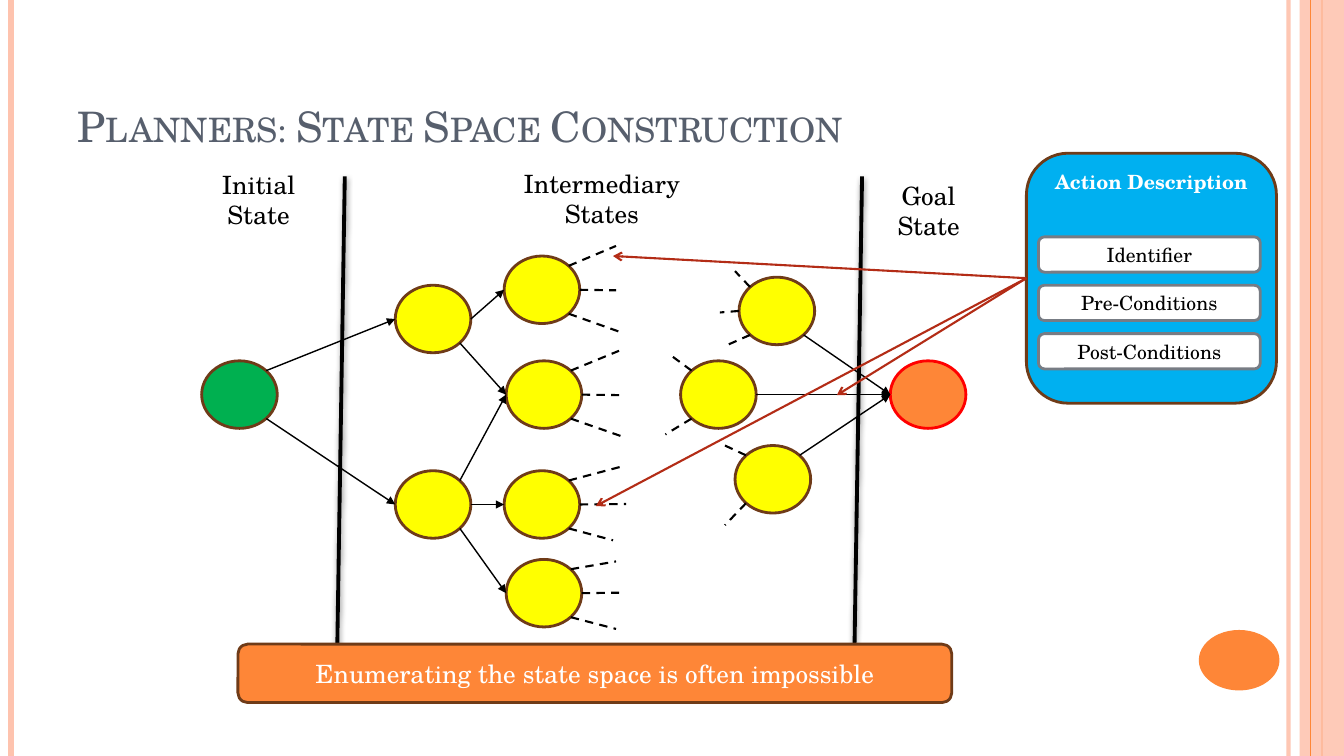
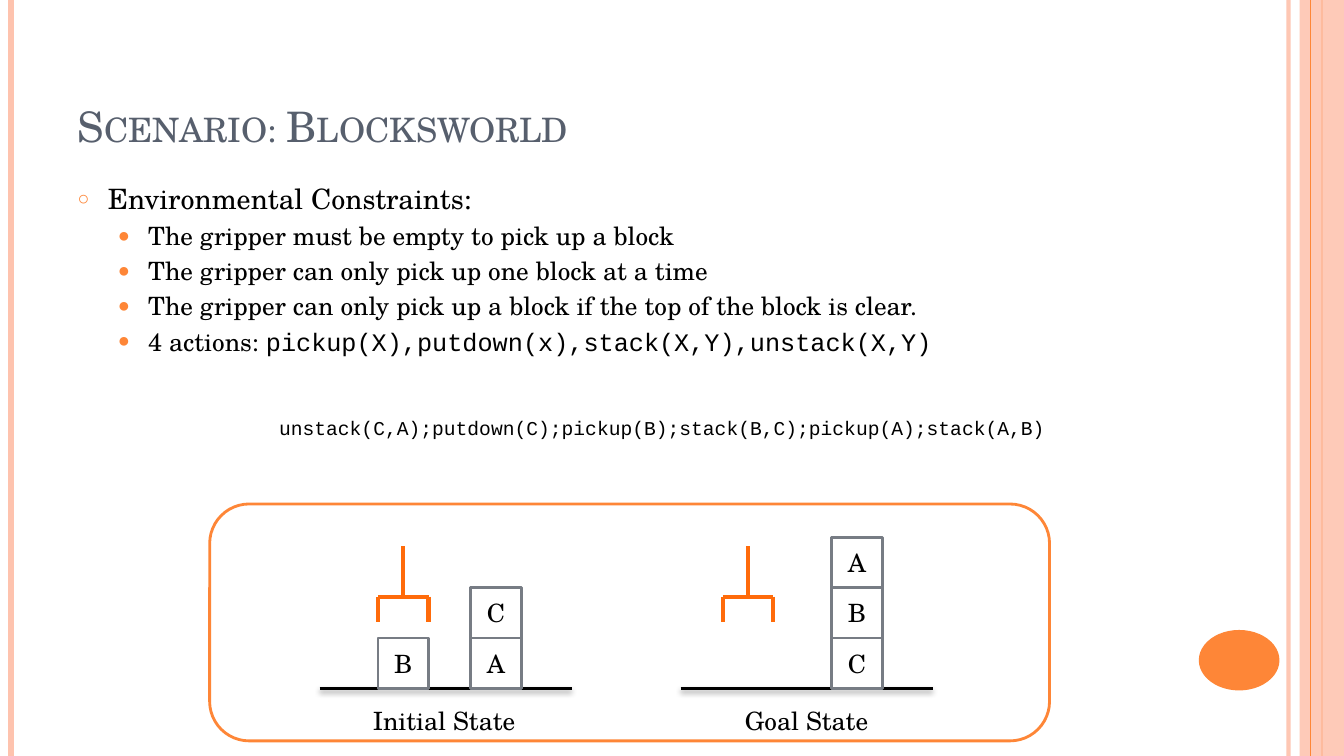
from pptx import Presentation
from pptx.dml.color import RGBColor
from pptx.enum import dml, shapes as kinds, text as layout
from pptx.oxml import ns, xmlchemy
from pptx.util import Inches, Pt

FONT = "TeX Gyre Schola"
CODE_FONT = "Courier New"
BLACK = RGBColor(0x00, 0x00, 0x00)
WHITE = RGBColor(0xFF, 0xFF, 0xFF)
SLATE = RGBColor(0x57, 0x5F, 0x6D)
GRAY = RGBColor(0x77, 0x7C, 0x84)
ORANGE = RGBColor(0xFE, 0x86, 0x37)
GRIPPER_ORANGE = RGBColor(0xFF, 0x6B, 0x0A)
PEACH = RGBColor(0xFE, 0xC3, 0xAE)
BROWN = RGBColor(0x6F, 0x3B, 0x18)
YELLOW = RGBColor(0xFF, 0xFF, 0x00)
GREEN = RGBColor(0x00, 0xB0, 0x50)
RED = RGBColor(0xFF, 0x00, 0x00)
DARK_RED = RGBColor(0xB3, 0x2C, 0x16)
BLUE = RGBColor(0x00, 0xB0, 0xF0)

SHAPE = kinds.MSO_SHAPE
CENTER = layout.PP_ALIGN.CENTER
LEFT = layout.PP_ALIGN.LEFT
MIDDLE = layout.MSO_ANCHOR.MIDDLE
TOP = layout.MSO_ANCHOR.TOP

NODE_WIDTH, NODE_HEIGHT = 0.75, 0.67
DIAGONAL = 0.71
# Points on a node's outline, as fractions of its half width and half height
SITES = {"left": (-1, 0), "right": (1, 0),
         "top left": (-DIAGONAL, -DIAGONAL), "top right": (DIAGONAL, -DIAGONAL),
         "bottom left": (-DIAGONAL, DIAGONAL), "bottom right": (DIAGONAL, DIAGONAL)}
BLOCK = 0.5
GROUND = 6.83


# Helpers for XML
def add_child(parent, tag, **attributes):
    child = xmlchemy.OxmlElement(tag)
    for name, value in attributes.items():
        child.set(name, str(value))
    parent.append(child)
    return child


def set_opacity(shape, percent):
    for color in shape.element.spPr.iter(ns.qn("a:srgbClr")):
        add_child(color, "a:alpha", val=percent * 1000)


# Kinds of element
def add_run(paragraph, words, size, color=BLACK, font=FONT, bold=False):
    run = paragraph.add_run()
    run.text = words
    run.font.size, run.font.name, run.font.bold = Pt(size), font, bold
    run.font.color.rgb = color
    return run


def add_lines(frame, words, size, align=CENTER, **style):
    for index, line in enumerate(words.split("\n")):
        paragraph = frame.add_paragraph() if index else frame.paragraphs[0]
        paragraph.alignment = align
        add_run(paragraph, line, size, **style)


def add_box(slide, kind, bounds, fill, line=None, words="", size=18, anchor=MIDDLE, **style):
    shape = slide.shapes.add_shape(kind, *map(Inches, bounds))
    shape.shadow.inherit = False
    shape.fill.solid()
    shape.fill.fore_color.rgb = fill
    if line is None:
        shape.line.fill.background()
    else:
        shape.line.color.rgb = line
        shape.line.width = Pt(2)
    if words:
        shape.text_frame.vertical_anchor = anchor
        add_lines(shape.text_frame, words, size, **style)
    return shape


def add_label(slide, bounds, words, size=18, **style):
    frame = slide.shapes.add_textbox(*map(Inches, bounds)).text_frame
    frame.word_wrap = False
    frame.auto_size = layout.MSO_AUTO_SIZE.SHAPE_TO_FIT_TEXT
    add_lines(frame, words, size, **style)


def add_line(owner, start, end, color=BLACK, width=1.5, dashed=False, head=None, shadow=None):
    """Draw a line; head is an arrowhead type, shadow is (opacity %, distance in points)."""
    line = owner.shapes.add_connector(
        kinds.MSO_CONNECTOR.STRAIGHT, *map(Inches, (*start, *end)))
    line.line.color.rgb = color
    line.line.width = Pt(width)
    if dashed:
        line.line.dash_style = dml.MSO_LINE.DASH
    properties = line.element.spPr
    if head:
        add_child(properties.find(ns.qn("a:ln")), "a:tailEnd", type=head)
    effects = add_child(properties, "a:effectLst")
    if shadow:
        opacity, distance = shadow
        outer = add_child(effects, "a:outerShdw", blurRad=Pt(4), dist=Pt(distance),
                          dir=90 * 60000, algn="ctr", rotWithShape=0)
        add_child(add_child(outer, "a:srgbClr", val=BLACK), "a:alpha", val=opacity * 1000)
    return line


def place(placeholder, left, top, width, height):
    placeholder.left, placeholder.top = Inches(left), Inches(top)
    placeholder.width, placeholder.height = Inches(width), Inches(height)
    placeholder.text_frame.auto_size = layout.MSO_AUTO_SIZE.NONE


# Shared parts
def add_slide(presentation, layout_index, title):
    slide = presentation.slides.add_slide(presentation.slide_layouts[layout_index])
    place(slide.shapes.title, 0.67, 0.3, 10.89, 1.25)
    frame = slide.shapes.title.text_frame
    frame.vertical_anchor = layout.MSO_ANCHOR.BOTTOM
    paragraph = frame.paragraphs[0]
    paragraph.alignment = LEFT
    run = add_run(paragraph, title, 30, SLATE)
    run.font._element.set("cap", "small")
    return slide


def decorate_master(presentation, slide):
    """Build the side bands on a slide, then move them to the master."""
    def band(x, color, width):
        return add_line(slide, (x, 0), (x, 7.5), color, width)

    inner = band(12.78, PEACH, 3)
    set_opacity(inner, 93)
    parts = [inner, band(0.11, PEACH, 4.5), band(13.11, ORANGE, 1.5)]
    strip = add_box(slide, SHAPE.RECTANGLE, (12.89, 0, 0.44, 7.5), PEACH)
    set_opacity(strip, 87)
    parts += [strip, band(13, ORANGE, 0.75),
              add_box(slide, SHAPE.OVAL, (11.89, 6.25, 0.8, 0.6), ORANGE)]
    tree = presentation.slide_master.element.cSld.spTree
    for number, part in enumerate(parts, 100):
        part.element.xpath(".//p:cNvPr")[0].set("id", str(number))
        tree.append(part.element)


# Slide 1: state space graph
NODES = {  # name: (left, top)
    "start": (2, 3.58), "goal": (8.83, 3.58),
    "upper": (3.92, 2.83), "lower": (3.92, 4.67),
    "first": (5, 2.54), "second": (5.02, 3.58), "third": (5, 4.67), "fourth": (5.02, 5.55),
    "near top": (7.33, 2.75), "near middle": (6.75, 3.58), "near bottom": (7.29, 4.42),
}
NODE_COLORS = {"start": (GREEN, BROWN), "goal": (ORANGE, RED)}
ACTIONS = [  # from node, site, to node (entered from the left)
    ("start", "top right", "upper"), ("start", "bottom right", "lower"),
    ("upper", "right", "first"), ("upper", "bottom right", "second"),
    ("lower", "top right", "second"), ("lower", "right", "third"),
    ("lower", "bottom right", "fourth"),
    ("near top", "bottom right", "goal"), ("near middle", "right", "goal"),
    ("near bottom", "top right", "goal"),
]
OPEN_ENDS = {  # node: {site: far end of the dashed line}
    "first": {"top right": (6.11, 2.44), "right": (6.11, 2.88), "bottom right": (6.14, 3.29)},
    "second": {"top right": (6.14, 3.48), "right": (6.14, 3.92), "bottom right": (6.17, 4.33)},
    "third": {"top right": (6.16, 4.63), "right": (6.21, 5), "bottom right": (6.08, 5.36)},
    "fourth": {"top right": (6.11, 5.57), "right": (6.14, 5.88), "bottom right": (6.11, 6.24)},
    "near top": {"top left": (7.29, 2.69), "left": (7.14, 3.1), "bottom left": (7.22, 3.42)},
    "near middle": {"top left": (6.66, 3.53), "bottom left": (6.6, 4.31)},
    "near bottom": {"top left": (7.19, 4.42), "bottom left": (7.19, 5.21)},
}


def site_point(node, site):
    left, top = NODES[node]
    across, down = SITES[site]
    return left + NODE_WIDTH / 2 * (1 + across), top + NODE_HEIGHT / 2 * (1 + down)


def add_graph(slide):
    for node, corner in NODES.items():
        fill, line = NODE_COLORS.get(node, (YELLOW, BROWN))
        add_box(slide, SHAPE.OVAL, (*corner, NODE_WIDTH, NODE_HEIGHT), fill, line)
    for node, site, target in ACTIONS:
        add_line(slide, site_point(node, site), site_point(target, "left"),
                 width=1, head="triangle")
    for node, ends in OPEN_ENDS.items():
        for site, end in ends.items():
            add_line(slide, site_point(node, site), end, dashed=True)


def add_action_panel(slide):
    add_box(slide, SHAPE.ROUNDED_RECTANGLE, (10.18, 1.52, 2.48, 2.48), BLUE, BROWN,
            "Action Description", 14, TOP, color=WHITE, bold=True)
    for index, part in enumerate(("Identifier", "Pre-Conditions", "Post-Conditions")):
        add_box(slide, SHAPE.ROUNDED_RECTANGLE, (10.3, 2.35 + 0.48 * index, 2.2, 0.35),
                WHITE, GRAY, part, 14)
    for end in ((8.3, 3.92), (6.08, 2.54), (5.91, 5.02)):
        add_line(slide, (10.18, 2.76), end, DARK_RED, head="arrow")


def fill_state_space(slide):
    add_label(slide, (2.1, 1.63, 0.93, 0.71), "Initial\nState")
    add_label(slide, (8.8, 1.74, 0.82, 0.71), "Goal\nState")
    add_label(slide, (5.09, 1.62, 1.76, 0.71), "Intermediary\nStates")
    for x in (3.42, 8.55):
        add_line(slide, (x, 1.75), (x - 0.08, 6.75), width=2.75, shadow=(42, 1.6))
    add_graph(slide)
    add_action_panel(slide)
    add_box(slide, SHAPE.ROUNDED_RECTANGLE, (2.36, 6.39, 7.08, 0.58), ORANGE, BROWN,
            "Enumerating the state space is often impossible", color=WHITE)


# Slide 2: blocks scenario
def add_bullet(paragraph, level, character, margin, percent):
    paragraph.level = level
    properties = paragraph._p.get_or_add_pPr()
    properties.set("marL", str(Inches(margin)))
    properties.set("indent", str(Inches(-0.3)))
    add_child(add_child(properties, "a:buClr"), "a:srgbClr", val=ORANGE)
    add_child(properties, "a:buSzPct", val=percent * 1000)
    add_child(properties, "a:buChar", char=character)


def add_constraints(slide):
    body = slide.placeholders[1]
    place(body, 0.67, 1.75, 10.89, 5.33)
    heading = body.text_frame.paragraphs[0]
    heading.space_before = Pt(6)
    add_bullet(heading, 0, "○", 0.3, 70)
    add_run(heading, "Environmental Constraints:", 20)
    for words in ("The gripper must be empty to pick up a block",
                  "The gripper can only pick up one block at a time",
                  "The gripper can only pick up a block if the top of the block is clear.",
                  "4 actions: "):
        paragraph = body.text_frame.add_paragraph()
        add_bullet(paragraph, 1, "●", 0.7, 80)
        add_run(paragraph, words, 18)
    add_run(paragraph, "pickup(X),putdown(x),stack(X,Y),unstack(X,Y)", 18, font=CODE_FONT)


def add_gripper(slide, x):
    group = slide.shapes.add_group_shape()
    left, right, bar = x - BLOCK / 2, x + BLOCK / 2, 5.92
    for start, end in (((x, 5.42), (x, bar)), ((left, bar), (right, bar)),
                       ((right, bar), (right, 6.17)), ((left, bar), (left, 6.17))):
        add_line(group, start, end, GRIPPER_ORANGE, 3)


def add_table_state(slide, left, stacks, gripper):
    """Draw the table line, stacks of blocks (listed bottom up) and the gripper."""
    add_line(slide, (left, GROUND), (left + 2.5, GROUND), width=2, shadow=(40, 2))
    for x, letters in stacks.items():
        for level, letter in enumerate(letters, 1):
            add_box(slide, SHAPE.RECTANGLE, (x, GROUND - level * BLOCK, BLOCK, BLOCK),
                    WHITE, GRAY, letter)
    add_gripper(slide, gripper)


def fill_blocksworld(slide):
    add_constraints(slide)
    add_box(slide, SHAPE.ROUNDED_RECTANGLE, (2.08, 5, 8.33, 2.35), WHITE, ORANGE)
    add_table_state(slide, 3.17, {3.75: "B", 4.67: "AC"}, gripper=4)
    add_label(slide, (3.6, 6.95, 1.63, 0.4), "Initial State", align=LEFT)
    add_table_state(slide, 6.75, {8.25: "CBA"}, gripper=7.42)
    add_label(slide, (7.28, 6.95, 1.44, 0.4), "Goal State")
    add_label(slide, (2.67, 4.08, 7.84, 0.34),
              "unstack(C,A);putdown(C);pickup(B);stack(B,C);pickup(A);stack(A,B)",
              14, align=LEFT, font=CODE_FONT)


def main():
    presentation = Presentation()
    presentation.slide_width, presentation.slide_height = Inches(13.33), Inches(7.5)
    state_space = add_slide(presentation, 5, "Planners: State Space Construction")
    decorate_master(presentation, state_space)
    fill_state_space(state_space)
    fill_blocksworld(add_slide(presentation, 1, "Scenario: Blocksworld"))
    presentation.save("out.pptx")


if __name__ == "__main__":
    main()
